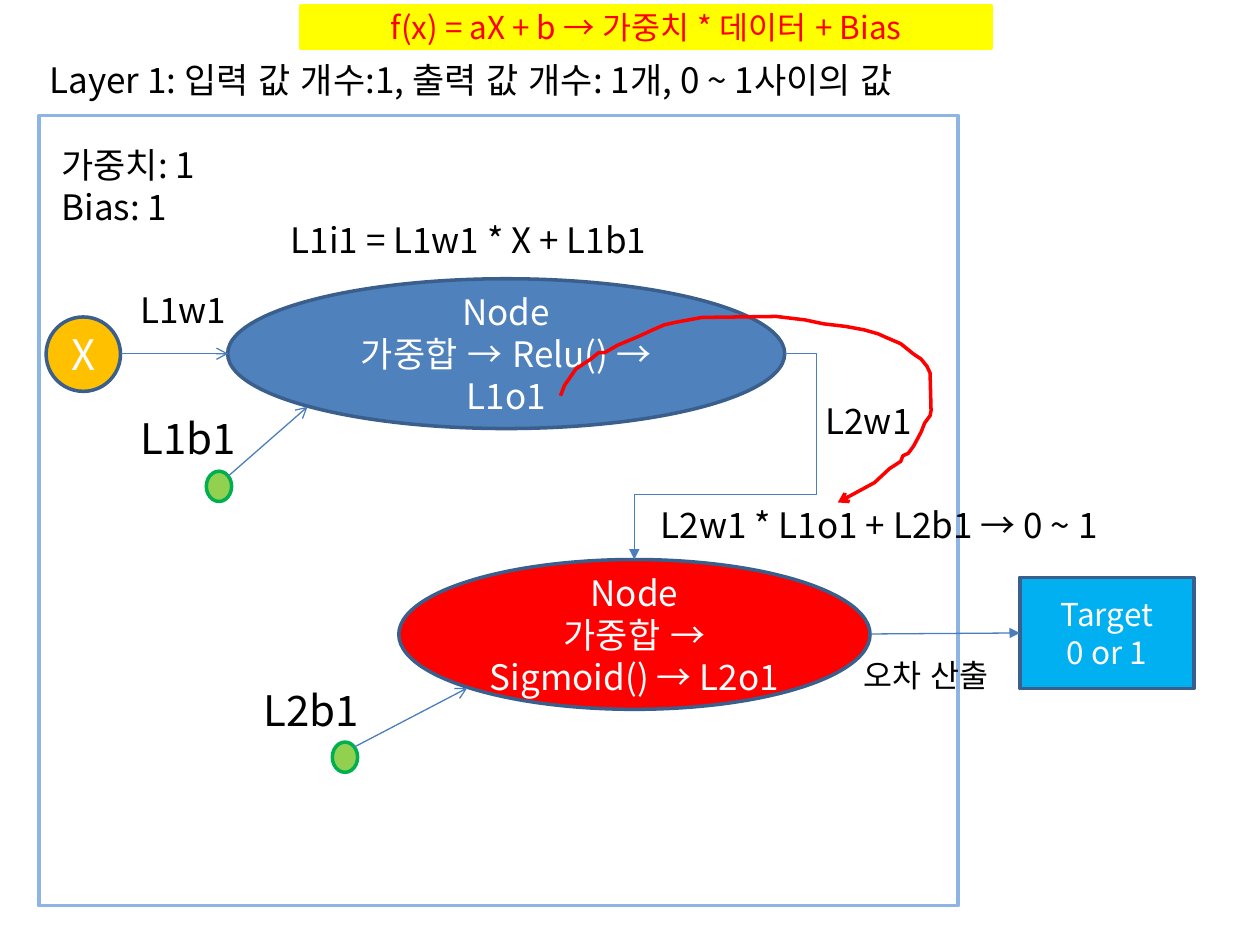
from pptx import Presentation
from pptx.dml.color import RGBColor
from pptx.enum.lang import MSO_LANGUAGE_ID as LANG
from pptx.enum.shapes import MSO_CONNECTOR as CONN, MSO_SHAPE as SHAPE
from pptx.enum.text import MSO_ANCHOR as ANCHOR, PP_ALIGN as ALIGN
from pptx.oxml.ns import qn
from pptx.util import Cm, Pt
from lxml.etree import SubElement

FONT = "Noto Sans CJK KR"
WHITE = RGBColor(0xFF, 0xFF, 0xFF)
BLACK = RGBColor(0x00, 0x00, 0x00)
RED = RGBColor(0xFF, 0x00, 0x00)
YELLOW = RGBColor(0xFF, 0xFF, 0x00)
ORANGE = RGBColor(0xFF, 0xC0, 0x00)
BLUE = RGBColor(0x4F, 0x81, 0xBD)
SKY = RGBColor(0x00, 0xB0, 0xF0)
PALE_BLUE = RGBColor(0x8E, 0xB4, 0xE3)
OUTLINE = RGBColor(0x3A, 0x5F, 0x8C)
ARROW = RGBColor(0x4B, 0x7E, 0xBC)
LIME = RGBColor(0x92, 0xD0, 0x50)
GREEN = RGBColor(0x00, 0xB0, 0x50)


def write(sp, text, size, color, align):
    tf = sp.text_frame
    tf.word_wrap = True
    tf.text = text
    for p in tf.paragraphs:
        p.alignment = align
        for r in p.runs:
            r.font.name = FONT
            r.font.size = Pt(size)
            r.font.color.rgb = color
            r.font.language_id = LANG.KOREAN
            SubElement(r.font._element, qn("a:ea"), typeface=FONT)


def style_line(sp, color, width, end=None, arrow=None):
    sp.line.color.rgb = color
    sp.line.width = Pt(width)
    if end:
        SubElement(sp.line._get_or_add_ln(), qn(f"a:{end}"), type=arrow)


prs = Presentation()
prs.slide_width, prs.slide_height = Cm(25.4), Cm(19.05)
s = prs.slides.add_slide(prs.slide_layouts[6])

target = None
for kind, box, fill, line, text, size, color in [
    (SHAPE.RECTANGLE, (0.79, 2.33, 18.52, 15.93), WHITE, PALE_BLUE, "", 18, BLACK),
    (SHAPE.OVAL, (0.93, 6.39, 1.5, 1.5), ORANGE, OUTLINE, "X", 24, WHITE),
    (SHAPE.OVAL, (4.59, 5.62, 11.23, 3.02), BLUE, OUTLINE,
     "Node\n가중합 → Relu() → L1o1", 20, WHITE),
    (SHAPE.OVAL, (4.16, 9.5, 0.51, 0.61), LIME, GREEN, "", 18, WHITE),
    (SHAPE.RECTANGLE, (6.07, 0.12, 13.92, 0.86), YELLOW, YELLOW,
     "f(x) = aX + b → 가중치 * 데이터 + Bias", 18, RED),
    (SHAPE.OVAL, (8.04, 11.28, 9.5, 3.02), RED, OUTLINE,
     "Node\n가중합 → Sigmoid() → L2o1", 20, WHITE),
    (SHAPE.OVAL, (6.7, 14.96, 0.51, 0.61), LIME, GREEN, "", 18, WHITE),
    (SHAPE.RECTANGLE, (20.56, 11.64, 3.51, 2.24), SKY, OUTLINE,
     "Target\n0 or 1", 18, WHITE),
]:
    sp = s.shapes.add_shape(kind, *map(Cm, box))
    sp.shadow.inherit = False
    sp.fill.solid()
    sp.fill.fore_color.rgb = fill
    style_line(sp, line, 2)
    if text:
        sp.text_frame.vertical_anchor = ANCHOR.MIDDLE
        write(sp, text, size, color, ALIGN.CENTER)
    target = sp

for text, box, size in [
    ("가중치: 1\nBias: 1", (0.99, 2.77, 4.37, 1.96), 20),
    ("L1w1", (2.58, 5.69, 2.46, 1.12), 20),
    ("L1b1", (2.58, 8.19, 2.9, 1.27), 24),
    ("L1i1 = L1w1 * X + L1b1", (5.61, 4.29, 10.62, 1.12), 20),
    ("Layer 1: 입력 값 개수:1, 출력 값 개수: 1개, 0 ~ 1사이의 값", (0.75, 1.05, 22.94, 1.12), 20),
    ("오차 산출", (17.16, 13.11, 3.4, 1.02), 18),
    ("L2b1", (5.06, 13.67, 2.9, 1.27), 24),
    ("L2w1 * L1o1 + L2b1 → 0 ~ 1", (13.07, 10.03, 10.62, 1.12), 20),
    ("L2w1", (16.39, 7.92, 2.46, 1.12), 20),
]:
    sp = s.shapes.add_textbox(*map(Cm, box))
    write(sp, text, size, BLACK, ALIGN.LEFT)

for kind, ends, arrow in [
    (CONN.STRAIGHT, (2.44, 7.13, 4.6, 7.13), "arrow"),
    (CONN.STRAIGHT, (4.6, 9.6, 6.2, 8.2), "arrow"),
    (CONN.STRAIGHT, (7.14, 15.06, 9.42, 13.87), "arrow"),
    (CONN.ELBOW, (15.83, 7.13, 12.79, 11.28), "triangle"),
    (CONN.STRAIGHT, (17.55, 12.78, 20.56, 12.76), "triangle"),
]:
    c = s.shapes.add_connector(kind, *map(Cm, ends))
    style_line(c, ARROW, 0.75, "tailEnd", arrow)
    SubElement(c._element.spPr, qn("a:effectLst"))
    if kind == CONN.ELBOW:
        geom = c._element.spPr.find(qn("a:prstGeom"))
        geom.set("prst", "bentConnector4")
        av = geom.find(qn("a:avLst"))
        if av is None:
            av = SubElement(geom, qn("a:avLst"))
        for key, value in (("adj1", -21000), ("adj2", 68300)):
            SubElement(av, qn("a:gd"), name=key, fmla=f"val {value}")
c.end_connect(target, 1)

curve = [
    (1689, 1013), (1763, 973), (1793, 945), (1816, 930),
    (1820, 919), (1831, 914), (1842, 899), (1849, 886), (1857, 871), (1864, 853),
    (1875, 838), (1877, 828), (1875, 752), (1869, 739), (1857, 724), (1842, 714),
    (1816, 693), (1788, 681), (1770, 673), (1742, 665), (1704, 658), (1661, 653),
    (1623, 645), (1565, 638), (1415, 640), (1361, 650), (1339, 655), (1316, 665),
    (1288, 678), (1245, 696), (1219, 711), (1207, 711), (1191, 724), (1161, 744),
    (1138, 777), (1130, 798),
]
fb = s.shapes.build_freeform(*curve[0], scale=Cm(0.01))
fb.add_line_segments(curve[1:], close=False)
sp = fb.convert_to_shape()
sp.shadow.inherit = False
sp.fill.background()
style_line(sp, RED, 2, "headEnd", "arrow")

prs.save("out.pptx")
